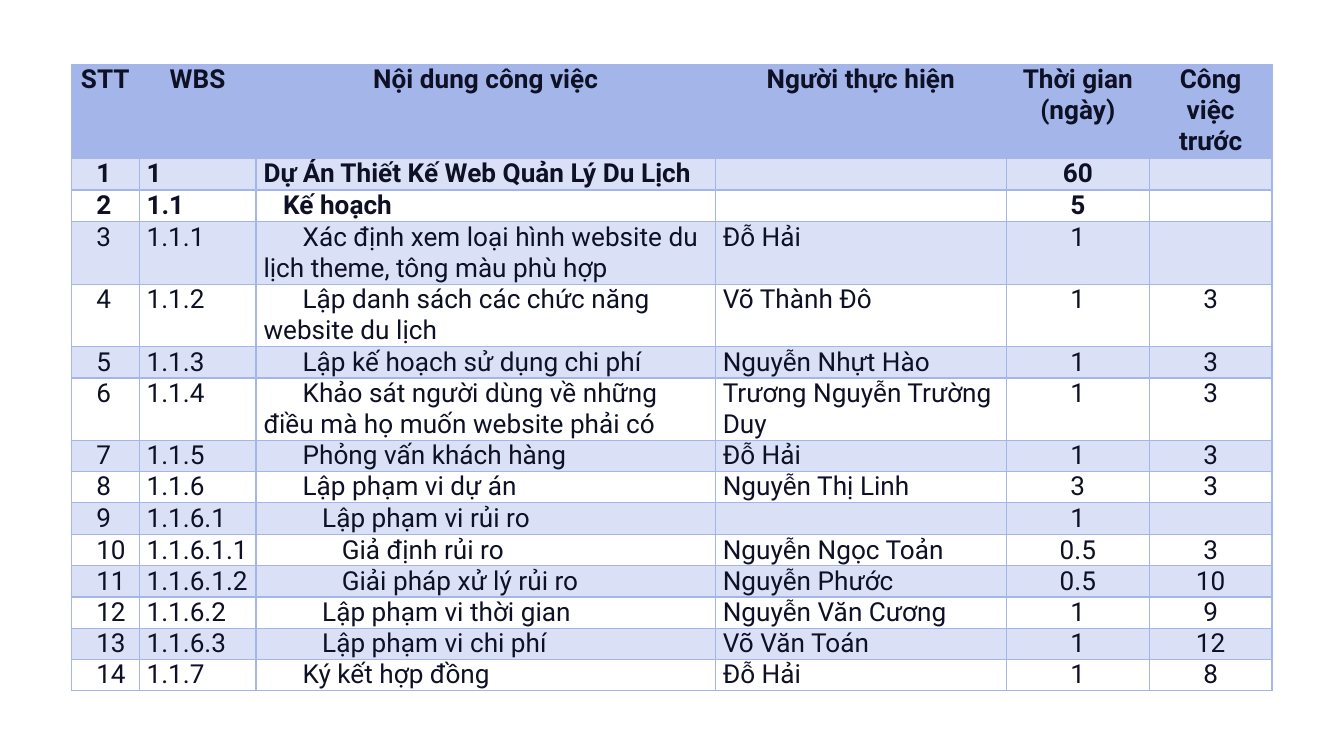
from lxml import etree
from pptx import Presentation
from pptx import util as u
from pptx.dml import color
from pptx.enum import text
from pptx.oxml import ns

INK, BLUE = "0E1125", "A4B5E9"
FONT, SIZE = "Roboto", u.Pt(14)
COLUMN_WIDTHS = (1.28, 2.21, 8.68, 5.5, 2.7, 2.32)
LINE_HEIGHT = 0.59
NUMBER_INDENT, LEVEL_INDENT = 0.33, 0.37
NUMBER, WBS, TASK, PERSON, DAYS, PREVIOUS = range(6)

HEADER = ("STT", "WBS", "Nội dung công việc", "Người thực hiện",
          "Thời gian (ngày)", "Công việc trước")
# WBS, task, person, days, previous task, lines of text
TASKS = (
    ("1", "Dự Án Thiết Kế Web Quản Lý Du Lịch", "", "60", "", 1),
    ("1.1", "Kế hoạch", "", "5", "", 1),
    ("1.1.1", "Xác định xem loại hình website du lịch theme, tông màu phù hợp",
     "Đỗ Hải", "1", "", 2),
    ("1.1.2", "Lập danh sách các chức năng website du lịch",
     "Võ Thành Đô", "1", "3", 2),
    ("1.1.3", "Lập kế hoạch sử dụng chi phí", "Nguyễn Nhựt Hào", "1", "3", 1),
    ("1.1.4", "Khảo sát người dùng về những điều mà họ muốn website phải có",
     "Trương Nguyễn Trường Duy", "1", "3", 2),
    ("1.1.5", "Phỏng vấn khách hàng", "Đỗ Hải", "1", "3", 1),
    ("1.1.6", "Lập phạm vi dự án", "Nguyễn Thị Linh", "3", "3", 1),
    ("1.1.6.1", "Lập phạm vi rủi ro", "", "1", "", 1),
    ("1.1.6.1.1", "Giả định rủi ro", "Nguyễn Ngọc Toản", "0.5", "3", 1),
    ("1.1.6.1.2", "Giải pháp xử lý rủi ro", "Nguyễn Phước", "0.5", "10", 1),
    ("1.1.6.2", "Lập phạm vi thời gian", "Nguyễn Văn Cương", "1", "9", 1),
    ("1.1.6.3", "Lập phạm vi chi phí", "Võ Văn Toán", "1", "12", 1),
    ("1.1.7", "Ký kết hợp đồng", "Đỗ Hải", "1", "8", 1),
)


def rgb(value):
    return color.RGBColor.from_string(value)


def set_values(target, values):
    for name, value in values.items():
        setattr(target, name, value)


def add_borders(cell):
    properties = cell._tc.get_or_add_tcPr()
    for side in ("lnL", "lnR", "lnT", "lnB"):
        line = etree.SubElement(properties, ns.qn(f"a:{side}"), w=str(u.Pt(0.75)))
        fill = etree.SubElement(line, ns.qn("a:solidFill"))
        etree.SubElement(fill, ns.qn("a:srgbClr"), val=BLUE)


def fill_cell(cell, row):
    """Solid header, then translucent and clear rows by turns."""
    if row and row % 2 == 0:
        cell.fill.background()
        return
    cell.fill.solid()
    cell.fill.fore_color.rgb = rgb(BLUE)
    if row:
        tint = cell._tc.tcPr.find(".//" + ns.qn("a:solidFill") + "[last()]")
        tint = cell._tc.tcPr.find(ns.qn("a:solidFill"))[0]
        etree.SubElement(tint, ns.qn("a:alpha"), val="40000")


def write_cell(cell, words, bold, centred, indent):
    set_values(cell, {"margin_left": u.Cm(0.14), "margin_right": u.Cm(0.14),
                      "margin_top": 0, "margin_bottom": 0})
    para = cell.text_frame.paragraphs[0]
    para.alignment = text.PP_ALIGN.CENTER if centred else text.PP_ALIGN.LEFT
    if not words:
        # Keeps an empty cell from stretching its row
        etree.SubElement(para._p, ns.qn("a:endParaRPr"), sz=str(int(SIZE.pt * 100)))
        return
    if indent:
        set_first_line = para._p.get_or_add_pPr().set
        set_first_line("marL", "0")
        set_first_line("indent", str(u.Cm(indent)))
    span = para.add_run()
    span.text = words
    set_values(span.font, {"name": FONT, "size": SIZE, "bold": bold})
    span.font.color.rgb = rgb(INK)


def add_task_table(page):
    rows = [HEADER] + [(str(number), *task[:-1])
                       for number, task in enumerate(TASKS, 1)]
    heights = [3 * LINE_HEIGHT] + [task[-1] * LINE_HEIGHT for task in TASKS]
    table = page.shapes.add_table(
        len(rows), len(HEADER), u.Cm(1.35), u.Cm(1.22),
        u.Cm(sum(COLUMN_WIDTHS)), u.Cm(sum(heights))).table
    set_values(table, {"first_row": False, "horz_banding": False})
    for column, width in zip(table.columns, COLUMN_WIDTHS):
        column.width = u.Cm(width)
    for index, values in enumerate(rows):
        table.rows[index].height = u.Cm(heights[index])
        indents = {}
        if index:
            indents = {NUMBER: NUMBER_INDENT,
                       TASK: LEVEL_INDENT * values[WBS].count(".")}
        for column, words in enumerate(values):
            cell = table.cell(index, column)
            add_borders(cell)
            fill_cell(cell, index)
            write_cell(cell, words, bold=index < 3,
                       centred=index == 0 or column in (DAYS, PREVIOUS),
                       indent=indents.get(column, 0))


def main():
    deck = Presentation()
    set_values(deck, {"slide_width": u.Cm(25.4), "slide_height": u.Cm(14.29)})
    page = deck.slides.add_slide(deck.slide_layouts[6])
    add_task_table(page)
    deck.save("out.pptx")


if __name__ == "__main__":
    main()
